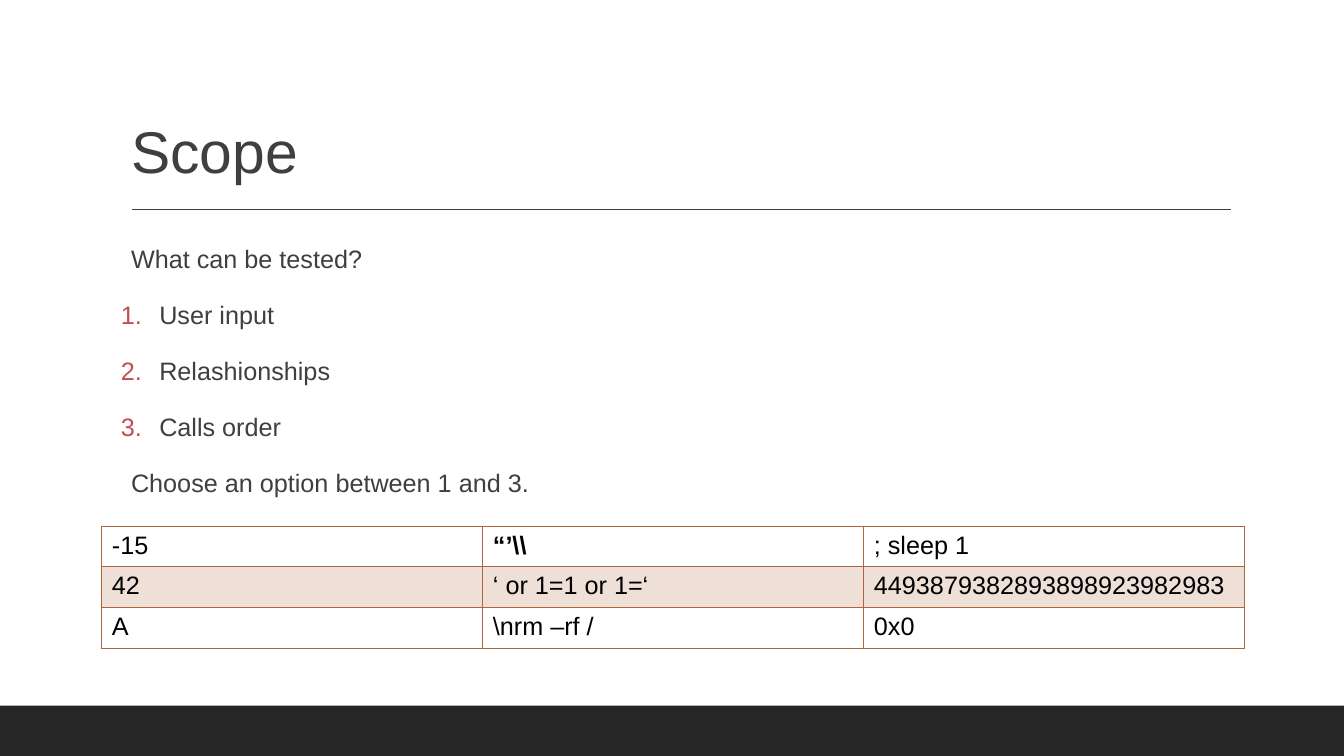
from lxml import etree
from pptx import Presentation
from pptx import util as u
from pptx.dml.color import RGBColor
from pptx.enum import shapes, text
from pptx.oxml import ns

COLORS = {
    "ink": "3F3F3F",
    "footer": "262626",
    "number": "C34D54",
    "table": "B1653B",
    "cell_text": "000000",
}
BODY = [
    ("What can be tested?", False),
    ("User input", True),
    ("Relashionships", True),
    ("Calls order", True),
    ("Choose an option between 1 and 3.", False),
]
INPUTS = [
    ["-15", "“’\\\\", "; sleep 1"],
    ["42", "‘ or 1=1 or 1=‘", "4493879382893898923982983"],
    ["A", "\\nrm –rf /", "0x0"],
]
BOLD_INPUT = "“’\\\\"


def add_xml(parent, tag, **attributes):
    return etree.SubElement(parent, ns.qn(tag), attributes)


class SlideBuilder:
    """Draws on one slide; all lengths are percentages of the slide's size."""

    font = "Arial"

    def __init__(self, presentation):
        self.width = presentation.slide_width
        self.height = presentation.slide_height
        self.slide = presentation.slides.add_slide(presentation.slide_layouts[5])

    def x(self, share):
        return u.Emu(round(self.width * share / 100))

    def y(self, share):
        return u.Emu(round(self.height * share / 100))

    def box(self, left, top, width, height):
        return self.x(left), self.y(top), self.x(width), self.y(height)

    def color(self, name):
        return RGBColor.from_string(COLORS[name])

    def format_runs(self, paragraph, size, color, bold=False):
        for run in paragraph.runs:
            run.font.name = self.font
            run.font.size = u.Pt(size)
            run.font.bold = bold
            run.font.color.rgb = self.color(color)

    def bar(self, *area):
        shape = self.slide.shapes.add_shape(
            shapes.MSO_SHAPE.RECTANGLE, *self.box(*area))
        shape.shadow.inherit = False
        shape.fill.solid()
        shape.fill.fore_color.rgb = self.color("footer")
        shape.line.fill.background()

    def rule(self, left, right, top):
        line = self.slide.shapes.add_connector(
            shapes.MSO_CONNECTOR.STRAIGHT,
            self.x(left), self.y(top), self.x(right), self.y(top))
        line.line.color.rgb = self.color("ink")
        line.line.width = u.Pt(1)
        add_xml(line._element.spPr, "a:effectLst")

    def title(self, words, *area):
        shape = self.slide.shapes.title
        shape.left, shape.top, shape.width, shape.height = self.box(*area)
        frame = shape.text_frame
        frame.text = words
        frame.vertical_anchor = text.MSO_ANCHOR.BOTTOM
        paragraph = frame.paragraphs[0]
        paragraph.alignment = text.PP_ALIGN.LEFT
        paragraph.line_spacing = 0.9
        self.format_runs(paragraph, 42, "ink")

    def body(self, items, *area):
        frame = self.slide.shapes.add_textbox(*self.box(*area)).text_frame
        frame.word_wrap = True
        frame.margin_left = frame.margin_right = 0
        for index, (words, numbered) in enumerate(items):
            paragraph = frame.add_paragraph() if index else frame.paragraphs[0]
            paragraph.text = words
            paragraph.line_spacing = 1.2
            paragraph.space_before = u.Pt(14 if index else 0)
            self.format_runs(paragraph, 18, "ink")
            self.indent(paragraph, numbered)

    def indent(self, paragraph, numbered):
        """Give the paragraph a coloured number or a plain left margin."""
        properties = paragraph._p.get_or_add_pPr()
        margin = u.Inches(0.38 if numbered else 0.1)
        properties.set("marL", str(margin))
        properties.set("indent", str(-margin if numbered else 0))
        if numbered:
            bullet_color = add_xml(properties, "a:buClr")
            add_xml(bullet_color, "a:srgbClr", val=COLORS["number"])
            add_xml(properties, "a:buFont", typeface=self.font)
            add_xml(properties, "a:buAutoNum", type="arabicPeriod")
        else:
            add_xml(properties, "a:buNone")

    def table(self, rows, row_heights, left, top, width):
        table = self.slide.shapes.add_table(
            len(rows), len(rows[0]),
            *self.box(left, top, width, sum(row_heights))).table
        table.first_row = table.horz_banding = False
        for row_index, (words_in_row, height) in enumerate(zip(rows, row_heights)):
            table.rows[row_index].height = self.y(height)
            for column_index, words in enumerate(words_in_row):
                cell = table.cell(row_index, column_index)
                cell.text = words
                self.format_runs(cell.text_frame.paragraphs[0], 18,
                                 "cell_text", words == BOLD_INPUT)
                self.cell_style(cell, shaded=row_index == 1)

    def cell_style(self, cell, shaded):
        properties = cell._tc.get_or_add_tcPr()
        for side in ("L", "R", "T", "B"):
            border = add_xml(properties, f"a:ln{side}", w=str(u.Pt(1)))
            fill = add_xml(border, "a:solidFill")
            add_xml(fill, "a:srgbClr", val=COLORS["table"])
        if shaded:
            cell.fill.solid()
            cell.fill.fore_color.rgb = self.color("table")
            tint = properties.find(ns.qn("a:solidFill")).find(ns.qn("a:srgbClr"))
            add_xml(tint, "a:alpha", val="20000")
        else:
            cell.fill.background()


def main():
    presentation = Presentation()
    presentation.slide_width = u.Inches(13.33)
    presentation.slide_height = u.Inches(7.5)
    builder = SlideBuilder(presentation)
    builder.bar(0, 93.33, 100, 6.67)
    builder.rule(9.82, 91.58, 27.73)
    builder.title("Scope", 9, 4.13, 82.5, 21.2)
    builder.body(BODY, 9, 30.8, 82.5, 58.53)
    builder.table(INPUTS, [5.07, 5.4, 5.4], 7.58, 69.6, 85.05)
    presentation.save("out.pptx")


if __name__ == "__main__":
    main()
